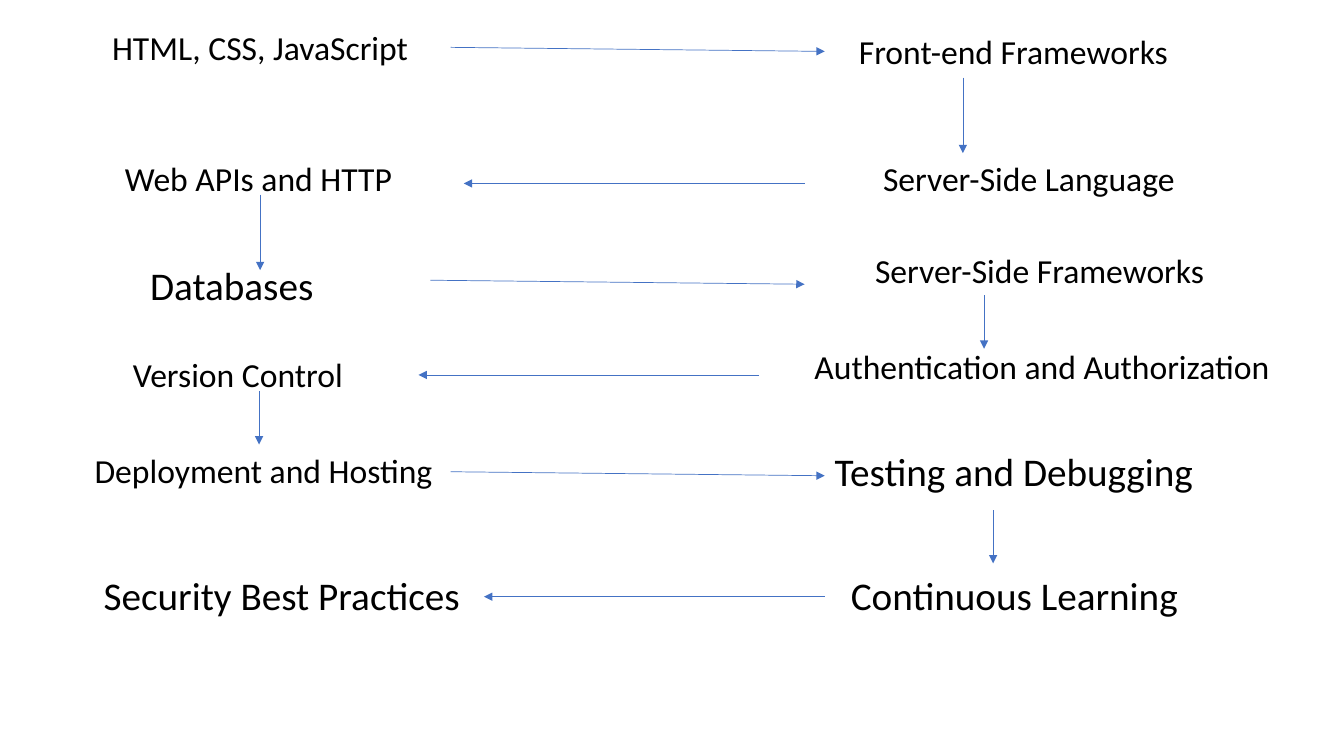
from lxml import etree
from pptx import Presentation
from pptx.dml.color import RGBColor
from pptx.enum import shapes, text
from pptx.oxml import ns
from pptx.util import Inches, Pt

COLORS = {"text": "000000", "arrow": "4472C4"}
SLIDE_WIDTH = 13.33
LABEL_WIDTH = 5

# Label, left, top, size in points
TOPICS = [
    ("HTML, CSS, JavaScript", 0.08, 0.22, 24),
    ("Front-end Frameworks", 8.42, 0.26, 24),
    ("Server-Side Language", 8.66, 1.52, 24),
    ("Web APIs and HTTP", 1.14, 1.52, 24),
    ("Databases", 1.39, 2.54, 28),
    ("Server-Side Frameworks", 8.58, 2.43, 24),
    ("Authentication and Authorization", 7.98, 3.38, 24),
    ("Version Control", 1.22, 3.46, 24),
    ("Deployment and Hosting", 0.84, 4.41, 24),
    ("Testing and Debugging", 8.18, 4.39, 28),
    ("Security Best Practices", 0.93, 5.62, 28),
    ("Continuous Learning", 8.34, 5.62, 28),
]
CENTERED = "HTML, CSS, JavaScript"

# Start x, start y, run, rise
ARROWS = [
    *[(x, y, 3.71, 0.04) for x, y in [(4.47, 0.47), (4.27, 2.78), (4.47, 4.68)]],
    *[(x, y, -3.38, 0) for x, y in [(7.98, 1.82), (7.53, 3.72), (8.18, 5.92)]],
    *[(x, y, 0, 0.75) for x, y in [(9.55, 0.77), (2.58, 1.93)]],
    *[(x, y, 0, 0.53) for x, y in [(9.76, 2.93), (2.57, 3.88), (9.85, 5.06)]],
]

prs = Presentation()
prs.slide_width = Inches(SLIDE_WIDTH)
prs.slide_height = Inches(7.5)
s = prs.slides.add_slide(prs.slide_layouts[6])

for label, left, top, size in TOPICS:
    width = min(LABEL_WIDTH, SLIDE_WIDTH - left)
    height = 0.5 if size == 24 else 0.57
    sp = s.shapes.add_textbox(Inches(left), Inches(top), Inches(width), Inches(height))
    tf = sp.text_frame
    tf.word_wrap = True
    tf.text = label
    p = tf.paragraphs[0]
    if label == CENTERED:
        p.alignment = text.PP_ALIGN.CENTER
    r = p.runs[0]
    r.font.name = "Calibri"
    r.font.size = Pt(size)
    r.font.color.rgb = RGBColor.from_string(COLORS["text"])

for x, y, run, rise in ARROWS:
    arrow = s.shapes.add_connector(
        shapes.MSO_CONNECTOR.STRAIGHT,
        Inches(x), Inches(y), Inches(x + run), Inches(y + rise),
    )
    arrow.line.color.rgb = RGBColor.from_string(COLORS["arrow"])
    arrow.line.width = Pt(0.5)
    sp_pr = arrow.line._get_or_add_ln().getparent()
    etree.SubElement(arrow.line._get_or_add_ln(), ns.qn("a:tailEnd"), type="triangle")
    etree.SubElement(sp_pr, ns.qn("a:effectLst"))

prs.save("out.pptx")
